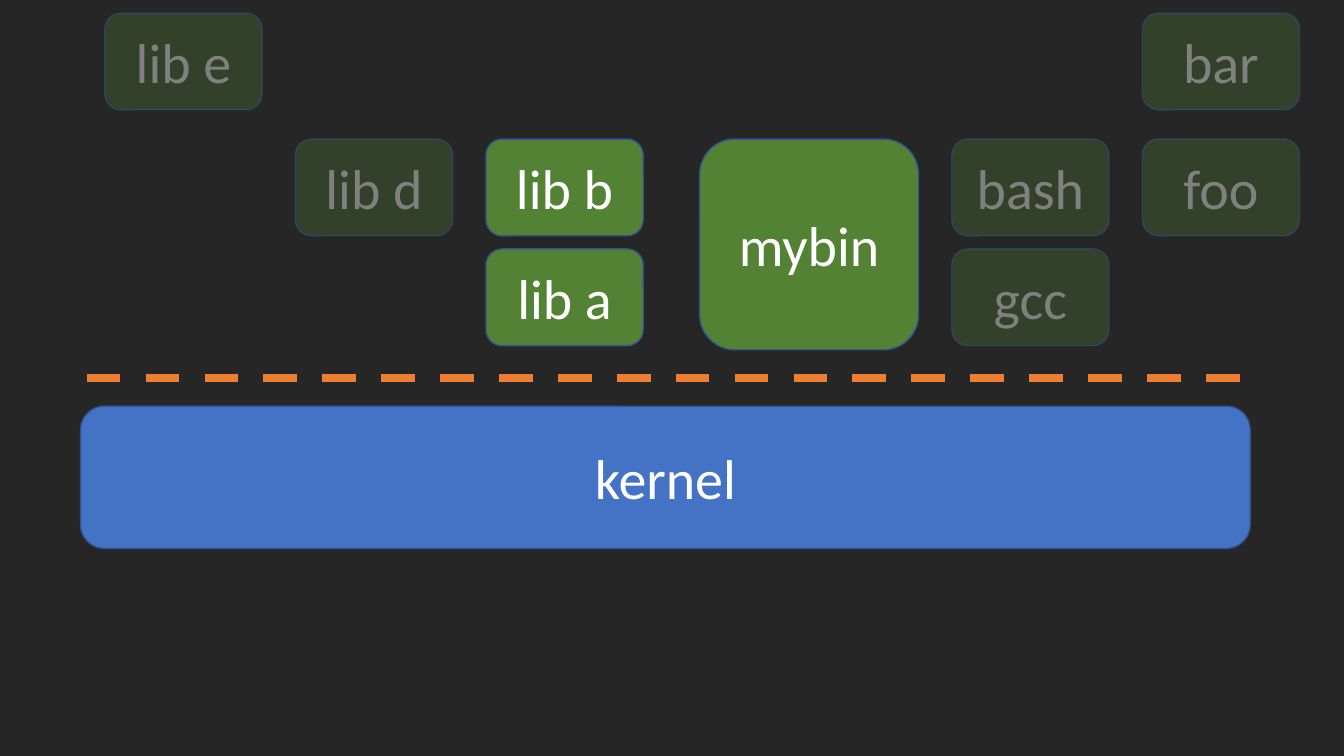
from dataclasses import dataclass

from lxml import etree
from pptx import Presentation
from pptx.dml.color import RGBColor
from pptx.enum import dml, shapes, text
from pptx.oxml.ns import qn
from pptx.util import Inches, Pt


@dataclass(frozen=True)
class Theme:
    """Colours, font and sizes of the slide."""
    back: str = "262626"
    green: str = "548235"
    blue: str = "4472C4"
    edge: str = "325491"
    split: str = "ED7D31"
    white: str = "FFFFFF"
    grey: str = "808080"
    font: str = "Calibri"
    size: int = 40
    thin: int = 1
    thick: int = 6


THEME = Theme()
LEFT, RIGHT, PITCH = 1.04, 9.44, 1.89
ROWS = (0.13, 1.38, 2.47)
WIDE, HIGH = 1.56, 0.96

LIBS = (("lib a", 2, 2, False), ("lib b", 2, 1, False),
        ("lib d", 1, 1, True), ("lib e", 0, 0, True))
BINS = (("bash", 0, 1, True), ("gcc", 0, 2, True),
        ("foo", 1, 1, True), ("bar", 1, 0, True))


def paint(fill, color):
    """Give a fill one solid colour."""
    fill.solid()
    fill.fore_color.rgb = RGBColor.from_string(color)


def fade(shape, part, share):
    """Set the opacity in percent of a shape's fill or line."""
    for node in shape.element.spPr.findall(f"{part}/{qn('a:srgbClr')}"):
        etree.SubElement(node, qn("a:alpha"), val=str(share * 1000))


def box(slide, label, place, color, dim=False):
    """Add a labelled rounded box, faded when dim."""
    shape = slide.shapes.add_shape(
        shapes.MSO_SHAPE.ROUNDED_RECTANGLE, *map(Inches, place))
    shape.shadow.inherit = False
    paint(shape.fill, color)
    paint(shape.line.fill, THEME.edge)
    shape.line.width = Pt(THEME.thin)
    if dim:
        fill = qn("a:solidFill")
        fade(shape, fill, 30)
        fade(shape, f"{qn('a:ln')}/{fill}", 50)
    frame = shape.text_frame
    frame.text = label
    frame.vertical_anchor = text.MSO_ANCHOR.MIDDLE
    para = frame.paragraphs[0]
    para.alignment = text.PP_ALIGN.CENTER
    font = para.runs[0].font
    font.name, font.size = THEME.font, Pt(THEME.size)
    font.color.rgb = RGBColor.from_string(THEME.grey if dim else THEME.white)


def grid(slide, left, items):
    """Add equal boxes by column and row."""
    for label, col, row, dim in items:
        place = (left + col * PITCH, ROWS[row], WIDE, HIGH)
        box(slide, label, place, THEME.green, dim)


def border(slide, start, end, top):
    """Add the dashed line between user space and kernel."""
    line = slide.shapes.add_connector(
        shapes.MSO_CONNECTOR.STRAIGHT, *map(Inches, (start, top, end, top)))
    paint(line.line.fill, THEME.split)
    line.line.width = Pt(THEME.thick)
    line.line.dash_style = dml.MSO_LINE.DASH
    etree.SubElement(line.element.spPr, qn("a:effectLst"))


def main():
    """Build and save the slide."""
    deck = Presentation()
    deck.slide_width, deck.slide_height = Inches(13.33), Inches(7.5)
    slide = deck.slides.add_slide(deck.slide_layouts[6])
    paint(slide.background.fill, THEME.back)
    border(slide, 0.86, 12.47, 3.75)
    grid(slide, LEFT, LIBS)
    box(slide, "mybin", (6.94, ROWS[1], 2.17, 2.09), THEME.green)
    grid(slide, RIGHT, BINS)
    box(slide, "kernel", (0.8, 4.03, 11.6, 1.41), THEME.blue)
    deck.save("out.pptx")


if __name__ == "__main__":
    main()
